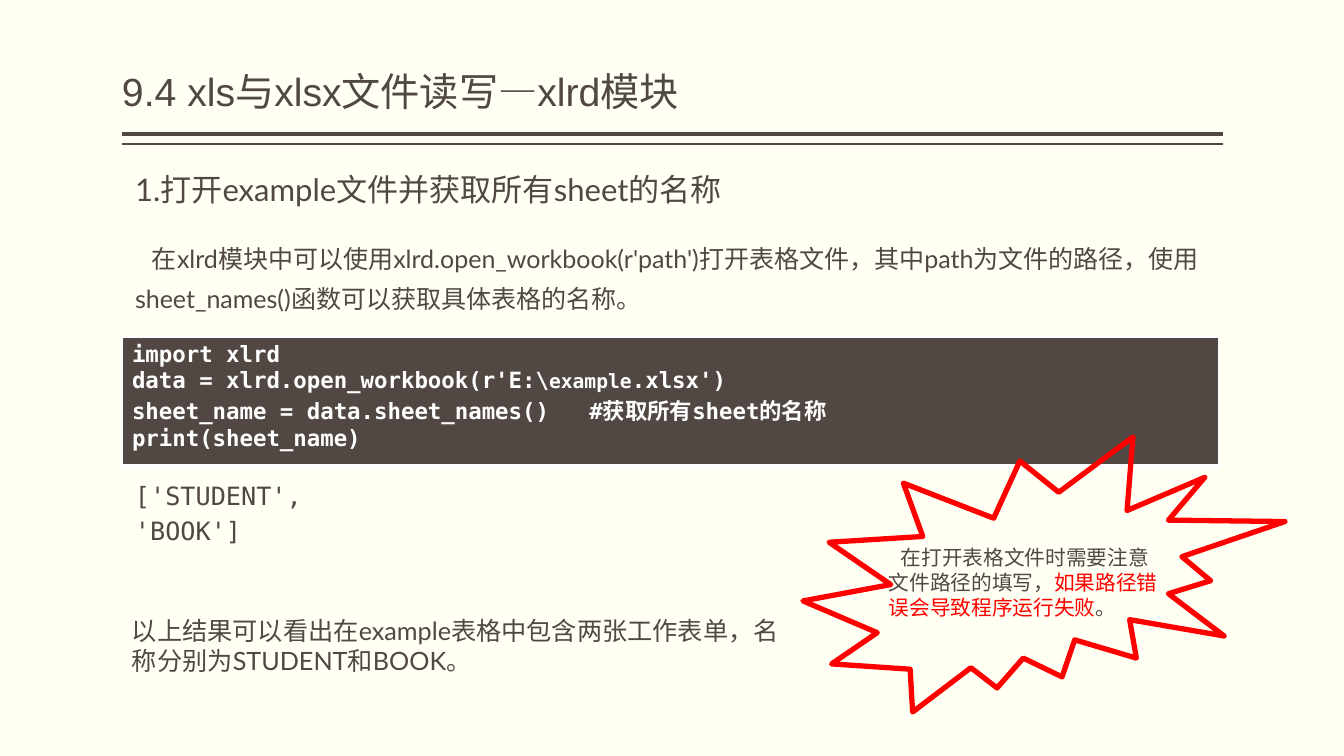
from lxml.etree import SubElement
from pptx import Presentation
from pptx.dml.color import RGBColor
from pptx.enum.shapes import MSO_CONNECTOR, MSO_SHAPE
from pptx.enum.text import MSO_ANCHOR, PP_ALIGN
from pptx.oxml.ns import qn
from pptx.util import Pt

PX = 9144000 / 1008  # EMU per px
COLORS = {"paper": "FFFFF3", "ink": "514843", "white": "FFFFFF", "red": "FF0000"}
SANS, MONO, CJK = "Lato", "DejaVu Sans Mono", "Noto Sans CJK SC"

# Each run is (text, size, colour)
TEXTS = [
    dict(box=(122, 58, 1101, 62), font="Arial", spacing=0.9, side=0, anchor=MSO_ANCHOR.BOTTOM,
         runs=[("9.4 xls与xlsx文件读写—xlrd模块", 28, "ink")]),
    dict(box=(125, 165, 648, 62), before=18,
         runs=[("1.打开example文件并获取所有sheet的名称", 22.2, "ink")]),
    dict(box=(125, 230, 1101, 87), spacing=1.3, indent=17,
         runs=[("在xlrd模块中可以使用xlrd.open_workbook(r'path')打开表格文件，其中path为文件的路径，"
                "使用sheet_names()函数可以获取具体表格的名称。", 17.9, "ink")]),
    dict(box=(125, 471, 197, 79), font=MONO, spacing=1.15, align=PP_ALIGN.JUSTIFY,
         runs=[("['STUDENT', 'BOOK']", 18, "ink")]),
    dict(box=(879, 540, 293, 99), indent=12,
         runs=[("在打开表格文件时需要注意文件路径的填写，", 14.8, "ink"),
               ("如果路径错误会导致程序运行失败", 14.8, "red"),
               ("。", 14.8, "ink")]),
    dict(box=(122, 610, 672, 72),
         runs=[("以上结果可以看出在example表格中包含两张工作表单，"
                "名称分别为STUDENT和BOOK。", 18, "ink")]),
]
CODE_BOX = (122, 337, 1097, 129)
CODE = [
    [("import xlrd", 16, "white")],
    [("data = xlrd.open_workbook(r'E:\\", 16, "white"), ("example", 14, "white"),
      (".xlsx')", 16, "white")],
    [("sheet_name = data.sheet_names()   #获取所有sheet的名称", 16, "white")],
    [("print(sheet_name)", 16, "white")],
]
CODE_BORDERS = {"lnL": 1, "lnR": 1, "lnT": 1, "lnB": 3}
RULES = [(134, 3), (144, 1)]  # y, width in points
RULE_LEFT, RULE_RIGHT = 122, 1223
BURST_BOX = (803, 437, 482, 275)


def emu(*lengths):
    return [round(v * PX) for v in lengths]


def color(name):
    return RGBColor.from_string(COLORS[name])


def add_runs(p, runs, font, bold=False):
    for text, size, ink in runs:
        r = p.add_run()
        r.text = text
        r.font.name, r.font.size, r.font.bold = font, Pt(size), bold
        r.font.color.rgb = color(ink)
        SubElement(r.font._element, qn("a:ea"), typeface=CJK)


def add_text(slide, box, runs, font=SANS, spacing=None, before=None, indent=0, side=10,
             align=PP_ALIGN.LEFT, anchor=MSO_ANCHOR.TOP):
    tf = slide.shapes.add_textbox(*emu(*box)).text_frame
    tf.word_wrap = True
    tf.vertical_anchor = anchor
    tf.margin_left = tf.margin_right = emu(side)[0]
    p = tf.paragraphs[0]
    p.alignment = align
    if spacing:
        p.line_spacing = spacing
    if before:
        p.space_before = Pt(before)
    if indent:
        p._p.get_or_add_pPr().set("indent", str(emu(indent)[0]))
    add_runs(p, runs, font)


def add_rule(slide, y, width):
    line = slide.shapes.add_connector(MSO_CONNECTOR.STRAIGHT, *emu(RULE_RIGHT, y, RULE_LEFT, y))
    line.line.color.rgb = color("ink")
    line.line.width = Pt(width)
    SubElement(line._element.spPr, qn("a:effectLst"))


def add_code(slide):
    table = slide.shapes.add_table(1, 1, *emu(*CODE_BOX)).table
    cell = table.cell(0, 0)
    tcPr = cell._tc.get_or_add_tcPr()
    for side, width in CODE_BORDERS.items():
        ln = SubElement(tcPr, qn(f"a:{side}"), w=str(Pt(width)))
        SubElement(SubElement(ln, qn("a:solidFill")), qn("a:srgbClr"), val=COLORS["white"])
    cell.fill.solid()
    cell.fill.fore_color.rgb = color("ink")
    tf = cell.text_frame
    for i, runs in enumerate(CODE):
        p = tf.add_paragraph() if i else tf.paragraphs[0]
        add_runs(p, runs, MONO, bold=True)


def add_burst(slide):
    sp = slide.shapes.add_shape(MSO_SHAPE.EXPLOSION2, *emu(*BURST_BOX))
    sp.shadow.inherit = False
    sp.fill.background()
    sp.line.color.rgb = color("red")
    sp.line.width = Pt(3.78)


def main():
    prs = Presentation()
    prs.slide_width, prs.slide_height = emu(1344, 756)
    slide = prs.slides.add_slide(prs.slide_layouts[6])
    slide.background.fill.solid()
    slide.background.fill.fore_color.rgb = color("paper")
    for y, width in RULES:
        add_rule(slide, y, width)
    add_code(slide)
    for text in TEXTS:
        add_text(slide, **text)
    add_burst(slide)
    prs.save("out.pptx")


if __name__ == "__main__":
    main()
